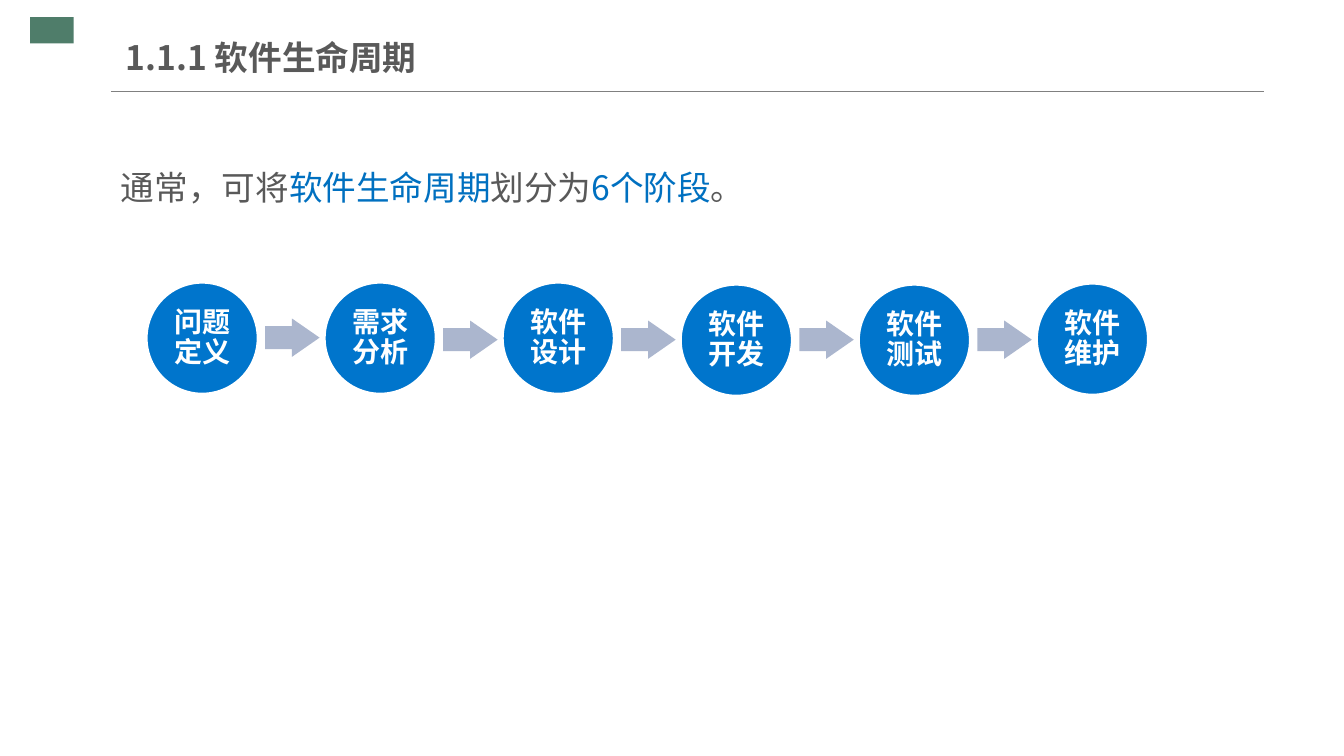
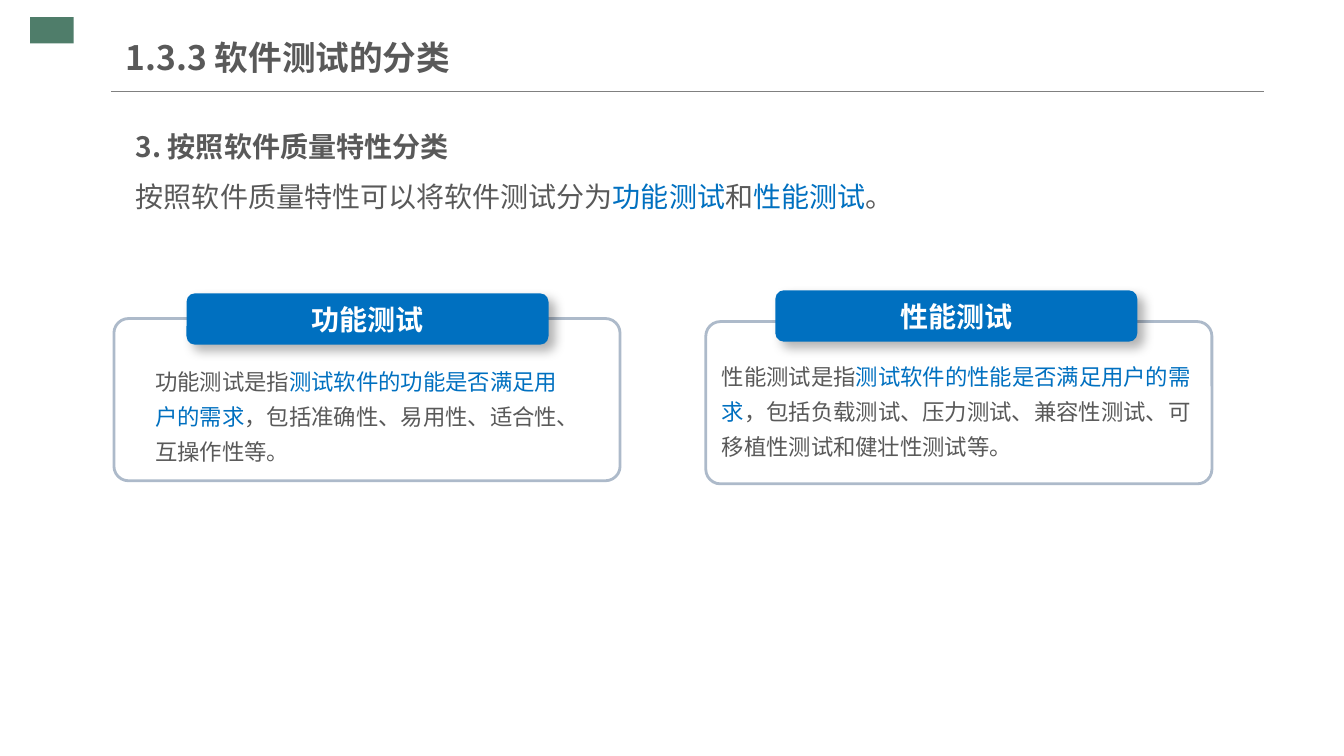
from lxml import etree
from pptx import Presentation
from pptx.dml.color import RGBColor
from pptx.enum.shapes import MSO_CONNECTOR, MSO_SHAPE
from pptx.enum.text import MSO_ANCHOR, PP_ALIGN
from pptx.oxml.ns import qn
from pptx.util import Inches, Pt

FONT = "Noto Sans CJK SC"
WHITE = RGBColor(0xFF, 0xFF, 0xFF)
GREY = RGBColor(0x59, 0x59, 0x59)
RULE_GREY = RGBColor(0x80, 0x80, 0x80)
GREEN = RGBColor(0x4F, 0x7D, 0x6A)
BLUE = RGBColor(0x00, 0x70, 0xC0)
STAGE_BLUE = RGBColor(0x00, 0x75, 0xCC)
ARROW_BLUE = RGBColor(0xAB, 0xB6, 0xCE)
FRAME_BLUE = RGBColor(0xAD, 0xBA, 0xCA)

RECTANGLE = MSO_SHAPE.RECTANGLE
ROUNDED = MSO_SHAPE.ROUNDED_RECTANGLE
OVAL = MSO_SHAPE.OVAL
RIGHT_ARROW = MSO_SHAPE.RIGHT_ARROW
STRAIGHT = MSO_CONNECTOR.STRAIGHT
TOP, MIDDLE = MSO_ANCHOR.TOP, MSO_ANCHOR.MIDDLE
LEFT, CENTER, JUSTIFY = PP_ALIGN.LEFT, PP_ALIGN.CENTER, PP_ALIGN.JUSTIFY


def write_text(shape, paragraphs, size=20, bold=False, color=GREY, align=LEFT,
               anchor=TOP, spacing=1.0, insets=(0.1, 0.05)):
    """Fill a shape; each paragraph is a list of (text, overrides) runs."""
    frame = shape.text_frame
    frame.word_wrap = True
    frame.vertical_anchor = anchor
    frame.margin_left = frame.margin_right = Inches(insets[0])
    frame.margin_top = frame.margin_bottom = Inches(insets[1])
    for index, runs in enumerate(paragraphs):
        paragraph = frame.add_paragraph() if index else frame.paragraphs[0]
        paragraph.alignment = align
        paragraph.line_spacing = spacing
        for text, overrides in runs:
            run = paragraph.add_run()
            run.text = text
            font = run.font
            font.name = FONT
            font.size = Pt(size)
            font.bold = overrides.get("bold", bold)
            font.color.rgb = overrides.get("color", color)
            east_asian = etree.SubElement(run._r.get_or_add_rPr(), qn("a:ea"))
            east_asian.set("typeface", FONT)


def plain(text, **overrides):
    return text, overrides


def key(text):
    return plain(text, color=BLUE)


def add_text(slide, box, paragraphs, **text_format):
    shape = slide.shapes.add_textbox(*map(Inches, box))
    write_text(shape, paragraphs, **text_format)


def add_shape(slide, kind, box, fill=None, line=None, adjustments=()):
    shape = slide.shapes.add_shape(kind, *map(Inches, box))
    shape.shadow.inherit = False
    if fill is None:
        shape.fill.background()
    else:
        shape.fill.solid()
        shape.fill.fore_color.rgb = fill
    if line is None:
        shape.line.fill.background()
    else:
        shape.line.color.rgb = line
        shape.line.width = Pt(2)
    for index, value in enumerate(adjustments):
        shape.adjustments[index] = value
    return shape


def add_drop_shadow(shape):
    effects = shape._element.spPr.find(qn("a:effectLst"))
    shadow = etree.SubElement(
        effects, qn("a:outerShdw"), blurRad=str(Pt(8)), dist=str(Pt(6)),
        dir=str(45 * 60000), algn="tl", rotWithShape="0")
    color = etree.SubElement(shadow, qn("a:srgbClr"), val="000000")
    etree.SubElement(color, qn("a:alpha"), val="30000")


def add_titled_slide(presentation, title):
    """Add a blank slide with the shared corner band, rule and title."""
    slide = presentation.slides.add_slide(presentation.slide_layouts[6])
    add_shape(slide, RECTANGLE, (0.3, 0.17, 0.43, 0.26), fill=GREEN)
    rule = slide.shapes.add_connector(
        STRAIGHT, Inches(1.1), Inches(0.91), Inches(12.54), Inches(0.91))
    rule.line.color.rgb = RULE_GREY
    rule.line.width = Pt(0.75)
    etree.SubElement(rule._element.spPr, qn("a:effectLst"))
    add_text(slide, (1.25, 0.29, 4.26, 0.55), [[plain(title)]], size=24,
             bold=True, anchor=MIDDLE, insets=(0, 0.07))
    return slide


def add_stage_chain(slide, box, stages, arrow_drops):
    """Spread (name, drop) circles evenly over the box, with arrows between."""
    left, top, width, diameter = box
    pitch = (width - diameter) / (len(stages) - 1)
    for index, (name, drop) in enumerate(stages):
        circle = add_shape(
            slide, OVAL, (left + index * pitch, top + drop, diameter, diameter),
            fill=STAGE_BLUE, line=WHITE)
        write_text(circle, [[plain(name)]], bold=True, color=WHITE,
                   align=CENTER, anchor=MIDDLE, spacing=0.9,
                   insets=(0.03, 0.03))
    for index, drop in enumerate(arrow_drops):
        arrow_left = left + index * pitch + diameter + 0.07
        add_shape(slide, RIGHT_ARROW,
                  (arrow_left, top + 0.36 + drop, 0.54, 0.38),
                  fill=ARROW_BLUE, adjustments=(0.6, 0.72))


def add_card(slide, box, heading, tab_offset, body, body_box):
    """Draw a framed card; the tab and body are placed from its corner."""
    left, top = box[:2]
    add_shape(slide, ROUNDED, box, line=FRAME_BLUE, adjustments=(0.09,))
    body_left, body_top, body_width, body_height = body_box
    add_text(slide, (left + body_left, top + body_top, body_width, body_height),
             [body], size=16, spacing=1.3)
    tab = add_shape(slide, ROUNDED,
                    (left + tab_offset[0], top + tab_offset[1], 3.59, 0.51),
                    fill=BLUE)
    add_drop_shadow(tab)
    write_text(tab, [[plain(heading)]], bold=True, color=WHITE, align=CENTER,
               anchor=MIDDLE)


def build_life_cycle(presentation):
    slide = add_titled_slide(presentation, "1.1.1 软件生命周期")
    add_text(slide, (1.07, 1.39, 11.42, 0.74),
             [[plain("通常，可将"), key("软件生命周期"), plain("划分为"),
               key("6个阶段"), plain("。")]],
             size=24, align=JUSTIFY, spacing=1.5, insets=(0.13, 0.07))
    stages = [("问题定义", 0), ("需求分析", 0), ("软件设计", 0),
              ("软件开发", 0.02), ("软件测试", 0.02), ("软件维护", 0.01)]
    add_stage_chain(slide, (1.45, 2.8, 9.94, 1.11), stages,
                    arrow_drops=(0, 0.02, 0.02, 0.02, 0.02))


def build_test_types(presentation):
    slide = add_titled_slide(presentation, "1.3.3 软件测试的分类")
    add_text(slide, (1.25, 1.07, 11, 1.24),
             [[plain("3. 按照软件质量特性分类", bold=True)],
              [plain("按照软件质量特性可以将软件测试分为"), key("功能测试"),
               plain("和"), key("性能测试"), plain("。")]],
             spacing=1.5)
    add_card(slide, (1.13, 3.16, 5.02, 1.61), "功能测试", (0.72, -0.25),
             [plain("功能测试是指"), key("测试软件的功能是否满足用户的需求"),
              plain("，包括准确性、易用性、适合性、互操作性等。")],
             (0.31, 0.36, 4.4, 1.15))
    add_card(slide, (7, 3.19, 5.02, 1.61), "性能测试", (0.69, -0.31),
             [plain("性能测试是指"), key("测试软件的性能是否满足用户的需求"),
              plain("，包括负载测试、压力测试、兼容性测试、"
                    "可移植性测试和健壮性测试等。")],
             (0.06, 0.28, 5.01, 1.15))


def main():
    presentation = Presentation()
    presentation.slide_width = Inches(13.33)
    presentation.slide_height = Inches(7.5)
    build_life_cycle(presentation)
    build_test_types(presentation)
    presentation.save("out.pptx")


if __name__ == "__main__":
    main()
